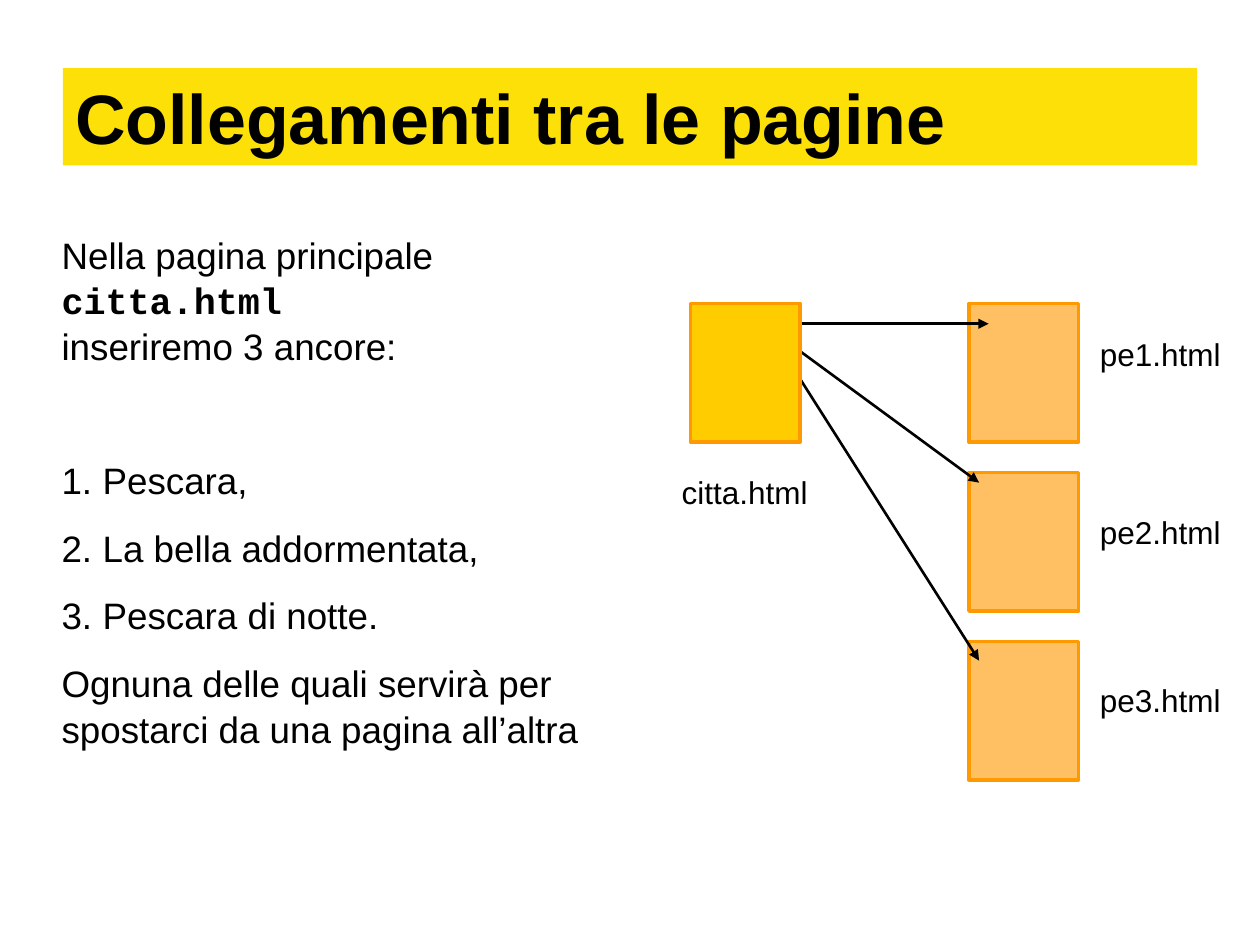
from pptx import Presentation
from pptx.util import Pt
from pptx.dml.color import RGBColor
from pptx.enum.shapes import MSO_SHAPE as SHAPE, MSO_CONNECTOR as CONNECTOR
from pptx.enum.text import PP_ALIGN as ALIGN, MSO_ANCHOR as ANCHOR
from pptx.oxml.ns import qn
from lxml.etree import SubElement


def color(hex_string):
    return RGBColor.from_string(hex_string)


def style(paragraph, size, bold=False):
    for run in paragraph.runs:
        run.font.name = "Arial"
        run.font.size = Pt(size)
        run.font.bold = bold
        run.font.color.rgb = color("000000")


deck = Presentation()
deck.slide_width, deck.slide_height = Pt(720), Pt(540)
slide = deck.slides.add_slide(deck.slide_layouts[6])
shapes = slide.shapes

# Title band
title = shapes.add_textbox(Pt(36), Pt(39), Pt(648), Pt(55.5))
title.fill.solid()
title.fill.fore_color.rgb = color("FDE007")
title.text_frame.word_wrap = True
title.text_frame.vertical_anchor = ANCHOR.MIDDLE
title.text_frame.text = "Collegamenti tra le pagine"
style(title.text_frame.paragraphs[0], 40, bold=True)

# Pages: three linked ones, then the arrows, then the main page on top
page_width, page_height = 62.6, 79.2
first_top, page_step = 173.5, 96.5
linked_left, main_left = 553.7, 394.6
pages = [(linked_left, first_top + i * page_step, "FF9900") for i in range(3)]
pages.append((main_left, first_top, "FFCC00"))
arrows = [(185, 565, 185), (196.5, 559.5, 275.8), (207.5, 559.5, 377.5)]

for left, top, fill in pages:
    if left == main_left:
        for start_y, end_x, end_y in arrows:
            arrow = shapes.add_connector(
                CONNECTOR.STRAIGHT, Pt(451.5), Pt(start_y), Pt(end_x), Pt(end_y))
            arrow.line.color.rgb = color("000000")
            arrow.line.width = Pt(1.5)
            SubElement(arrow.line._get_or_add_ln(), qn("a:tailEnd"), type="triangle")
            SubElement(arrow._element.spPr, qn("a:effectLst"))
    page = shapes.add_shape(
        SHAPE.RECTANGLE, Pt(left), Pt(top), Pt(page_width), Pt(page_height))
    page.shadow.inherit = False
    page.fill.solid()
    page.fill.fore_color.rgb = color(fill)
    page.line.color.rgb = color("FF9900")
    page.line.width = Pt(2)
    if left == linked_left:
        fill_color = page._element.spPr.find(qn("a:solidFill"))[0]
        SubElement(fill_color, qn("a:alpha"), val="61000")

# File names
file_names = [
    ("citta.html", 374.4, 270, 102.2, ALIGN.CENTER),
    ("pe1.html", 621.4, 190.8, 85, ALIGN.LEFT),
    ("pe2.html", 621.4, 292.3, 85, ALIGN.LEFT),
    ("pe3.html", 621.4, 388.8, 85, ALIGN.LEFT),
]
for name, left, top, width, align in file_names:
    label = shapes.add_textbox(Pt(left), Pt(top), Pt(width), Pt(26))
    label.text_frame.word_wrap = True
    label.text_frame.text = name
    caption = label.text_frame.paragraphs[0]
    caption.alignment = align
    caption.line_spacing = 0.87
    style(caption, 18)

# Explanation: intro, numbered anchors, closing sentence
explanation = shapes.add_textbox(Pt(28.1), Pt(128.2), Pt(313.2), Pt(333.4)).text_frame
explanation.word_wrap = True
intro = explanation.paragraphs[0]
intro.add_run().text = "Nella pagina principale "
file_name = intro.add_run()
file_name.text = "citta.html"
intro.add_line_break()
intro.add_run().text = "inseriremo 3 ancore:"
style(intro, 21)
file_name.font.name = "Courier New"
file_name.font.bold = True
intro.line_spacing = 1.04

anchors = ["Pescara,", "La bella addormentata,", "Pescara di notte."]
closing = "Ognuna delle quali servirà per spostarci da una pagina all’altra"
for sentence in anchors + [closing]:
    paragraph = explanation.add_paragraph()
    paragraph.text = sentence
    paragraph.line_spacing = 1.04
    paragraph.space_before = Pt(50.2 if sentence == anchors[0] else 12.5)
    if sentence in anchors:
        properties = paragraph._p.get_or_add_pPr()
        properties.set("marL", str(Pt(23.5)))
        properties.set("indent", str(-Pt(23.5)))
        SubElement(properties, qn("a:buFont"), typeface="Arial")
        SubElement(properties, qn("a:buAutoNum"), type="arabicPeriod")
    style(paragraph, 21)

deck.save("out.pptx")
